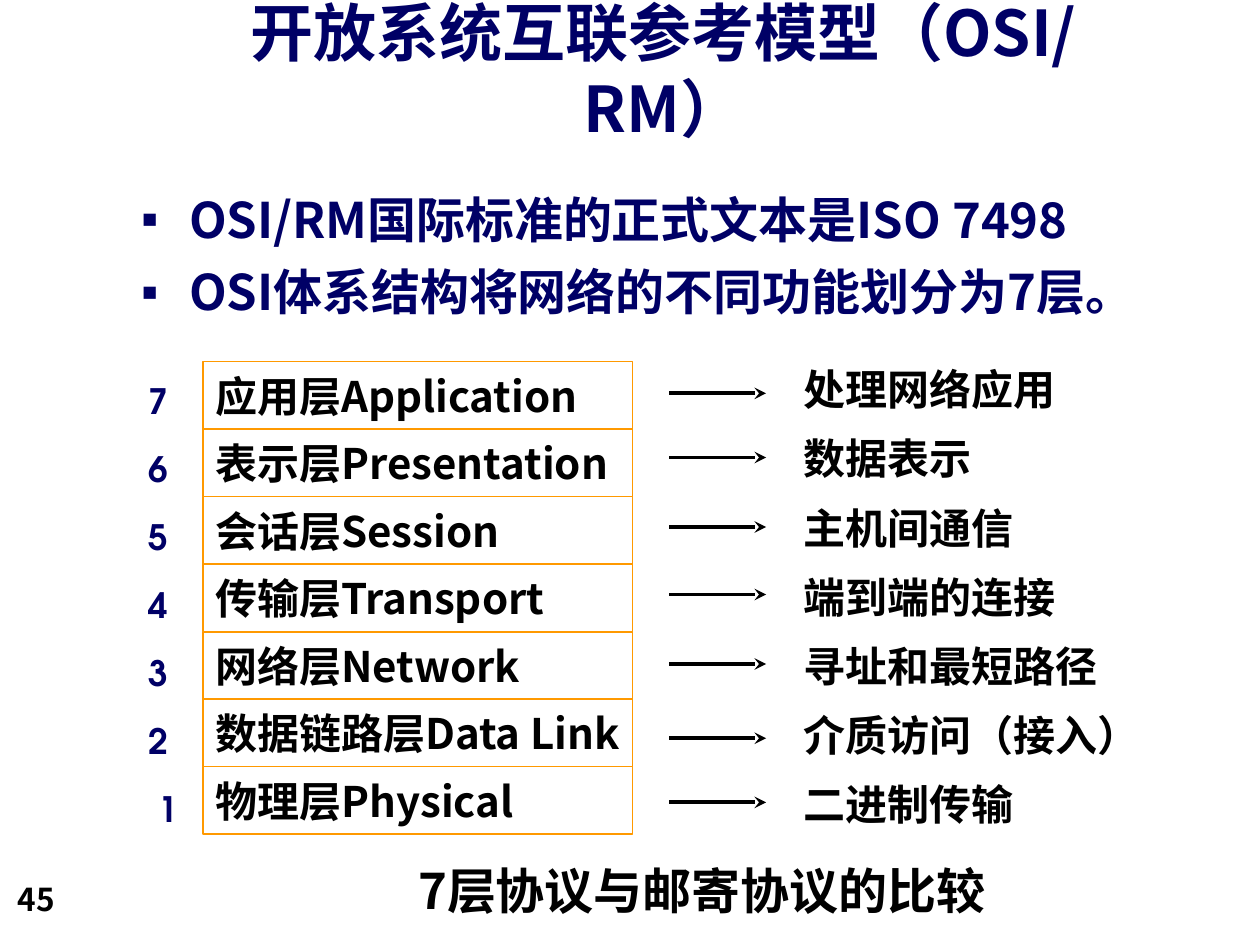
from typing import NamedTuple

from lxml.etree import SubElement
from pptx import Presentation
from pptx.dml.color import RGBColor
from pptx.enum.shapes import MSO_CONNECTOR, MSO_SHAPE
from pptx.enum.text import MSO_ANCHOR, MSO_AUTO_SIZE, PP_ALIGN
from pptx.oxml.ns import qn
from pptx.util import Inches, Pt

SANS = "Noto Sans CJK SC"
NAVY, BLACK, ORANGE, WHITE = "000066", "000000", "FF9900", "FFFFFF"
STACK_LEFT, STACK_TOP, STACK_WIDTH = 1.61, 2.87, 3.41
ROW = 3.75 / 7
ARROW_LEFT, ARROW_RIGHT = 5.31, 6.08


class Layer(NamedTuple):
    number: str
    name: str
    role: str
    arrow_row: float  # arrow height, in rows from the top of the stack


LAYERS = [
    Layer("7 ", "应用层Application", "处理网络应用", 0.47),
    Layer("6 ", "表示层Presentation", "数据表示", 1.42),
    Layer("5 ", "会话层Session", "主机间通信", 2.45),
    Layer("4 ", "传输层Transport", "端到端的连接", 3.45),
    Layer("3 ", "网络层Network", "寻址和最短路径", 4.48),
    Layer("2 ", "数据链路层Data Link", "介质访问（接入）", 5.58),
    Layer("1", "物理层Physical", "二进制传输", 6.53),
]


def rgb(color: str) -> RGBColor:
    return RGBColor.from_string(color)


def place(sp, left: float, top: float, width: float, height: float):
    sp.left, sp.top = Inches(left), Inches(top)
    sp.width, sp.height = Inches(width), Inches(height)
    return sp


def add_bullet(p, char: str, color: str, indent: float) -> None:
    pPr = p._p.get_or_add_pPr()
    pPr.set("marL", str(Inches(indent)))
    pPr.set("indent", str(-Inches(indent)))
    clr = SubElement(pPr, qn("a:buClr"))
    SubElement(clr, qn("a:srgbClr"), val=color)
    SubElement(pPr, qn("a:buChar"), char=char)


def write(sp, *lines: str, size: float, color: str = BLACK, font: str = SANS,
          align=PP_ALIGN.LEFT, anchor=MSO_ANCHOR.TOP, wrap: bool = True,
          before: float = 0, spacing: float = 1.0, bullet: str = "") -> None:
    tf = sp.text_frame
    tf.auto_size = MSO_AUTO_SIZE.NONE
    tf.word_wrap, tf.vertical_anchor = wrap, anchor
    for i, line in enumerate(lines):
        p = tf.paragraphs[0] if i == 0 else tf.add_paragraph()
        p.alignment, p.line_spacing = align, spacing
        p.space_before = Pt(before if i else 0)
        if bullet:
            add_bullet(p, bullet, color, 0.38)
        r = p.add_run()
        r.text = line
        r.font.size, r.font.bold, r.font.name = Pt(size), True, font
        r.font.color.rgb = rgb(color)
        SubElement(r._r.get_or_add_rPr(), qn("a:ea"), typeface=font)


def add_text(s, left: float, top: float, width: float, height: float,
             *lines: str, **style) -> None:
    box = s.shapes.add_textbox(0, 0, 0, 0)
    write(place(box, left, top, width, height), *lines, **style)


def add_layer_box(s, row: int, name: str) -> None:
    sp = s.shapes.add_shape(MSO_SHAPE.RECTANGLE, 0, 0, 0, 0)
    place(sp, STACK_LEFT, STACK_TOP + row * ROW, STACK_WIDTH, ROW)
    sp.shadow.inherit = False
    sp.fill.solid()
    sp.fill.fore_color.rgb = rgb(WHITE)
    sp.line.color.rgb = rgb(ORANGE)
    sp.line.width = Pt(1)
    write(sp, name, size=24, anchor=MSO_ANCHOR.MIDDLE, wrap=False)


def add_arrow(s, row: float) -> None:
    y = Inches(STACK_TOP + row * ROW)
    line = s.shapes.add_connector(MSO_CONNECTOR.STRAIGHT, Inches(ARROW_LEFT), y,
                                  Inches(ARROW_RIGHT), y)
    line.line.color.rgb = rgb(BLACK)
    line.line.width = Pt(2.25)
    SubElement(line.line._get_or_add_ln(), qn("a:tailEnd"), type="stealth")
    SubElement(line._element.spPr, qn("a:effectLst"))


def main() -> None:
    prs = Presentation()
    prs.slide_width, prs.slide_height = Inches(10), Inches(7.5)
    s = prs.slides.add_slide(prs.slide_layouts[1])
    title, body = s.placeholders

    write(place(title, 1.35, 0.28, 7.83, 0.92), "开放系统互联参考模型（OSI/RM）",
          size=36, color=NAVY, align=PP_ALIGN.CENTER, anchor=MSO_ANCHOR.BOTTOM)
    write(place(body, 1.02, 1.45, 8.88, 1.25),
          "OSI/RM国际标准的正式文本是ISO 7498",
          "OSI体系结构将网络的不同功能划分为7层。",
          size=28, color=NAVY, before=8, bullet="▪")

    for row, layer in enumerate(LAYERS):
        add_layer_box(s, row, layer.name)
        add_arrow(s, layer.arrow_row)

    add_text(s, 1.02, 2.93, 0.49, 3.71, *(layer.number for layer in LAYERS),
             size=20, color=NAVY, font="TeX Gyre Adventor",
             align=PP_ALIGN.RIGHT, before=12.5, spacing=1.1)
    add_text(s, 6.28, 2.9, 3.41, 3.73, *(layer.role for layer in LAYERS),
             size=24, font="Roboto", before=15, spacing=0.85)
    add_text(s, 3.22, 6.78, 4.99, 0.57, "7层协议与邮寄协议的比较",
             size=28, wrap=False)
    add_text(s, 0.04, 6.83, 2.08, 0.5, "45", size=18, anchor=MSO_ANCHOR.BOTTOM)

    prs.save("out.pptx")


if __name__ == "__main__":
    main()
